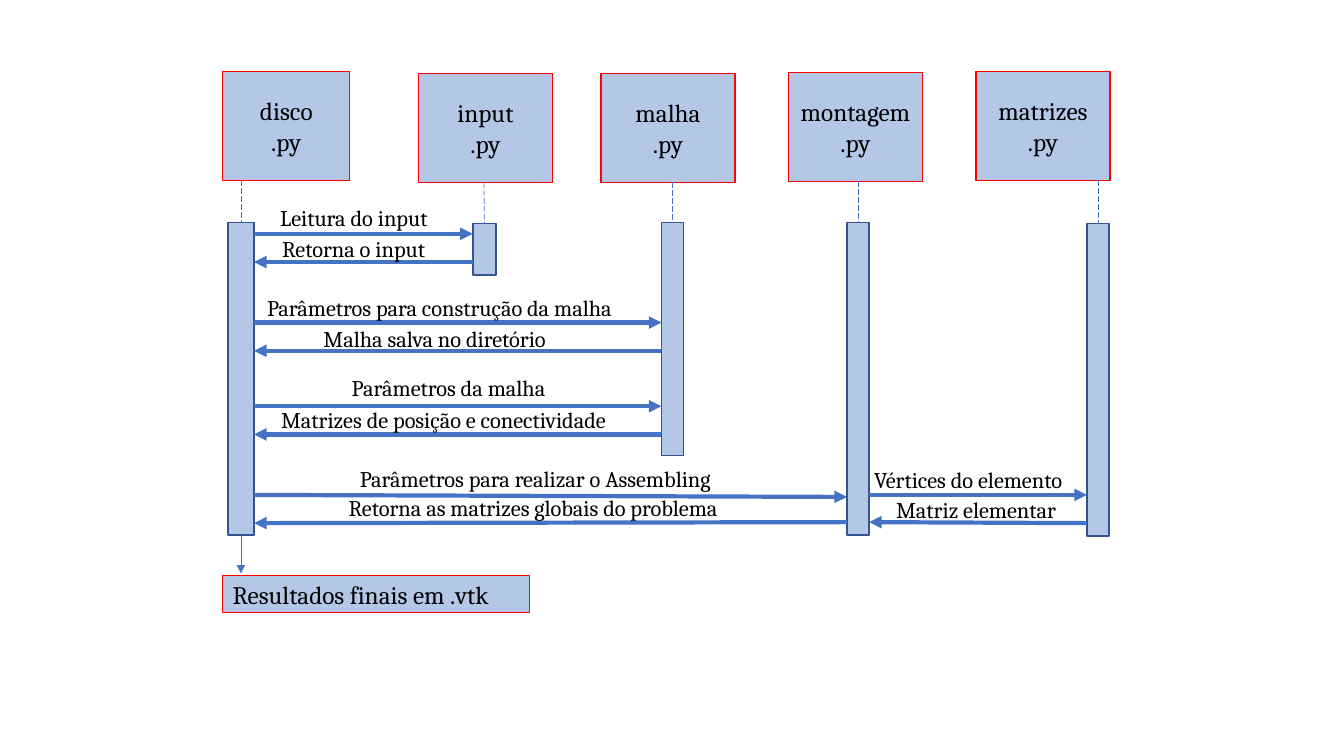
from collections import namedtuple

from pptx import Presentation
from pptx.dml.color import RGBColor
from pptx.enum.dml import MSO_LINE_DASH_STYLE as DASH
from pptx.enum.shapes import MSO_CONNECTOR, MSO_SHAPE
from pptx.enum.text import MSO_ANCHOR, PP_ALIGN
from pptx.oxml.ns import qn
from pptx.util import Pt
from lxml.etree import SubElement

PX = 9144  # 100 px to the inch
FONT = "Cambria"
PALE_BLUE = RGBColor(0xB4, 0xC7, 0xE7)
ARROW_BLUE = RGBColor(0x44, 0x72, 0xC4)
DARK_BLUE = RGBColor(0x32, 0x54, 0x91)
RED = RGBColor(0xFF, 0x00, 0x00)
BLACK = RGBColor(0x00, 0x00, 0x00)

Box = namedtuple("Box", "left top width height")
DIAGRAM = Box(221, 71, 880, 537)
CARD_HEIGHT = 108
LABEL_HEIGHT = 33

# name: card, activation bar
PARTICIPANTS = {
    "disco": (Box(0, 0, 126, CARD_HEIGHT), Box(5, 150, 26, 310)),
    "input": (Box(194, 2, 133, CARD_HEIGHT), Box(248, 151, 23, 51)),
    "malha": (Box(375, 2, 133, CARD_HEIGHT), Box(435, 150, 22, 231)),
    "montagem": (Box(561, 1, 133, CARD_HEIGHT), Box(619, 150, 22, 310)),
    "matrizes": (Box(747, 0, 133, CARD_HEIGHT), Box(857, 151, 22, 310)),
}

# sender, receiver, start y, end y, label, label left, top and width
MESSAGES = [
    ("disco", "input", 161, 161, "Leitura do input", 47, 128, 183),
    ("input", "disco", 189, 189, "Retorna o input", 49, 159, 178),
    ("disco", "malha", 249, 249, "Parâmetros para construção da malha", 34, 218, 395),
    ("malha", "disco", 277, 277, "Malha salva no diretório", 90, 248, 261),
    ("disco", "malha", 332, 332, "Parâmetros da malha", 118, 297, 231),
    ("malha", "disco", 360, 360, "Matrizes de posição e conectividade", 48, 329, 370),
    ("disco", "montagem", 420, 422, "Parâmetros para realizar o Assembling", 126, 387, 402),
    ("montagem", "disco", 447, 448, "Retorna as matrizes globais do problema", 115, 416, 421),
    ("montagem", "matrizes", 420, 420, "Vértices do elemento", 636, 388, 225),
    ("matrizes", "montagem", 448, 447, "Matriz elementar", 658, 418, 189),
]


def inside(area, part):
    """Move a part given relative to an area onto the slide."""
    return Box(area.left + part.left, area.top + part.top, part.width, part.height)


def emu(box):
    return [length * PX for length in box]


def write(shape, lines, size, align, inset):
    frame = shape.text_frame
    settings = {
        "word_wrap": True, "vertical_anchor": MSO_ANCHOR.MIDDLE,
        "margin_left": inset * PX, "margin_right": inset * PX,
    }
    for name, value in settings.items():
        setattr(frame, name, value)
    for index, line in enumerate(lines):
        paragraph = frame.add_paragraph() if index else frame.paragraphs[0]
        paragraph.alignment = align
        run = paragraph.add_run()
        run.text = line
        for name, value in {"name": FONT, "size": Pt(size)}.items():
            setattr(run.font, name, value)
        run.font.color.rgb = BLACK


def add_rectangle(slide, box, outline, weight=1):
    shape = slide.shapes.add_shape(MSO_SHAPE.RECTANGLE, *emu(box))
    shape.shadow.inherit = False
    shape.fill.solid()
    shape.fill.fore_color.rgb = PALE_BLUE
    shape.line.color.rgb = outline
    shape.line.width = Pt(weight)
    return shape


def add_line(slide, start, end, weight, dash=None, arrow=False):
    line = slide.shapes.add_connector(MSO_CONNECTOR.STRAIGHT, *emu(start + end))
    line.line.color.rgb = ARROW_BLUE
    line.line.width = Pt(weight)
    if dash:
        line.line.dash_style = dash
    if arrow:
        SubElement(line.line._get_or_add_ln(), qn("a:tailEnd"), type="triangle")
    SubElement(line._element.spPr, qn("a:effectLst"))
    return line


def add_participant(slide, area, name, card, bar):
    """Draw a card, its activation bar and the dashed line between them."""
    card, bar = inside(area, card), inside(area, bar)
    card_shape = add_rectangle(slide, card, RED)
    write(card_shape, [name, ".py"], 18, PP_ALIGN.CENTER, 0)
    bar_shape = add_rectangle(slide, bar, DARK_BLUE)
    middle = bar.left + bar.width // 2
    lifeline = add_line(slide, (middle, card.top + card.height), (middle, bar.top),
                        0.5, DASH.LONG_DASH)
    lifeline.end_connect(bar_shape, 0)
    return bar_shape


def add_message(slide, area, sender, receiver, start_y, end_y, label, left, top, width):
    """Draw an arrow between the facing sides of two bars, with its label."""
    source, target = (inside(area, PARTICIPANTS[name][1]) for name in (sender, receiver))
    if source.left < target.left:
        start_x, end_x = source.left + source.width, target.left
    else:
        start_x, end_x = source.left, target.left + target.width
    add_line(slide, (start_x, area.top + start_y), (end_x, area.top + end_y), 3, arrow=True)
    box = inside(area, Box(left, top, width, LABEL_HEIGHT))
    write(slide.shapes.add_textbox(*emu(box)), [label], 16, PP_ALIGN.LEFT, 10)


def add_result(slide, area, bar_shape):
    """Draw the final box and the arrow that leads to it from the first bar."""
    box = inside(area, Box(0, 500, 304, 37))
    write(add_rectangle(slide, box, RED, 0.75), ["Resultados finais em .vtk"],
          18, PP_ALIGN.LEFT, 10)
    bar = inside(area, PARTICIPANTS["disco"][1])
    middle = bar.left + bar.width // 2
    arrow = add_line(slide, (middle, bar.top + bar.height), (middle, box.top - 2),
                     0.5, arrow=True)
    arrow.begin_connect(bar_shape, 2)


def add_sequence_diagram(slide, area):
    bars = {name: add_participant(slide, area, name, *boxes)
            for name, boxes in PARTICIPANTS.items()}
    for message in MESSAGES:
        add_message(slide, area, *message)
    add_result(slide, area, bars["disco"])


def main():
    presentation = Presentation()
    presentation.slide_width = 1333 * PX
    presentation.slide_height = 750 * PX
    slide = presentation.slides.add_slide(presentation.slide_layouts[6])
    add_sequence_diagram(slide, DIAGRAM)
    presentation.save("out.pptx")


if __name__ == "__main__":
    main()
